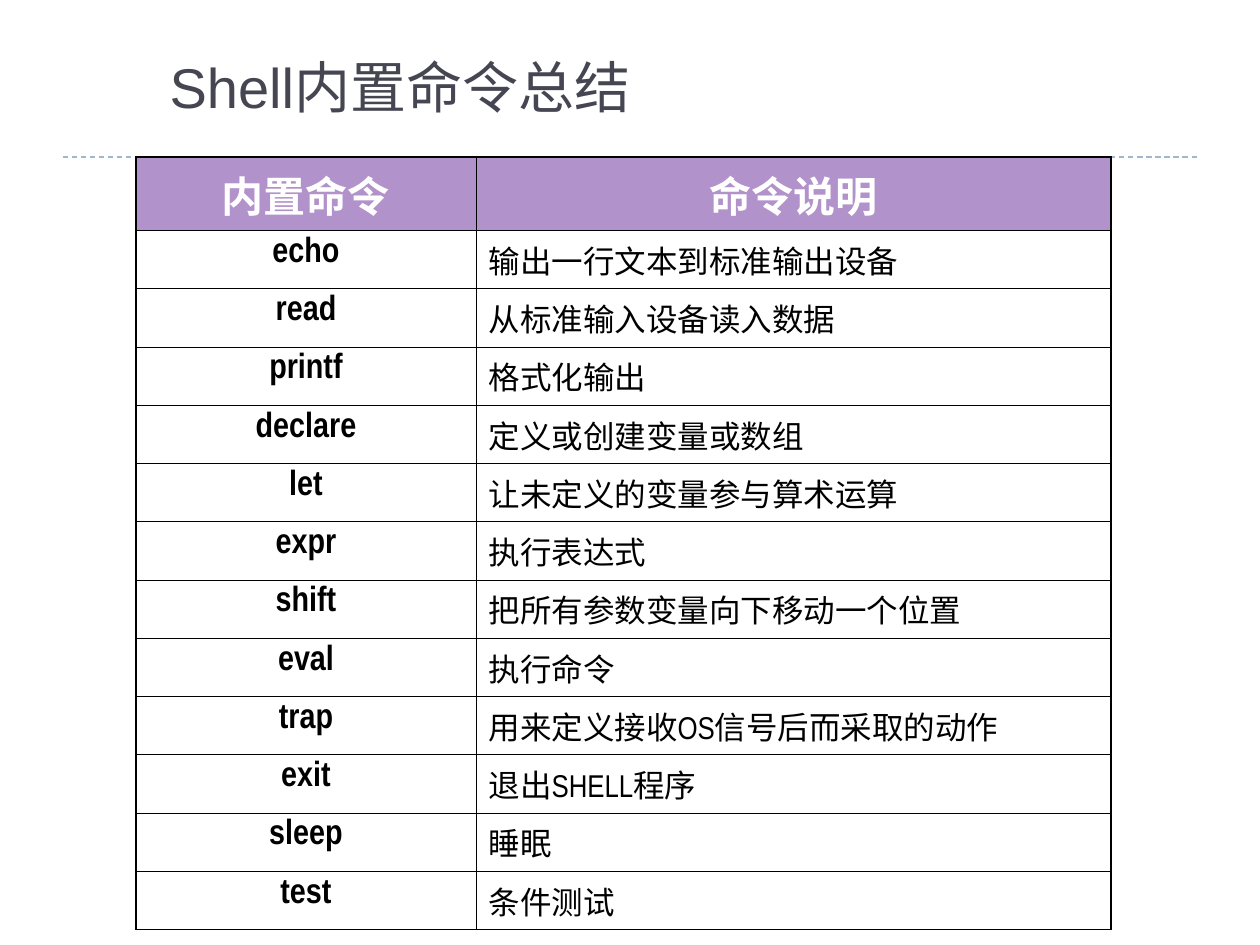
import pptx
import pptx.util
import pptx.dml.color
import pptx.enum.dml
import pptx.enum.shapes
import pptx.enum.text
import pptx.oxml
import pptx.oxml.ns
from lxml import etree

RGB = pptx.dml.color.RGBColor
Pt = pptx.util.Pt
ALIGN = pptx.enum.text.PP_ALIGN
ANCHOR = pptx.enum.text.MSO_ANCHOR
qn = pptx.oxml.ns.qn

BLACK = RGB(0x00, 0x00, 0x00)
WHITE = RGB(0xFF, 0xFF, 0xFF)
SLATE = RGB(0x46, 0x46, 0x53)
PURPLE = RGB(0xB2, 0x92, 0xCA)
BLUE = RGB(0x9F, 0xB8, 0xCD)

THIN, THICK = 0.45, 1.08


def px(n):
    return pptx.util.Emu(round(n * 914400 / 126))


def edge(cell, side, width):
    line = etree.SubElement(cell._tc.get_or_add_tcPr(), qn("a:ln" + side), w=str(Pt(width)))
    fill = etree.SubElement(line, qn("a:solidFill"))
    etree.SubElement(fill, qn("a:srgbClr"), val=str(BLACK))


deck = pptx.Presentation()
deck.slide_width, deck.slide_height = px(1260), px(945)
slide = deck.slides.add_slide(deck.slide_layouts[5])

# Title
title = slide.shapes.title
title.left, title.top, title.width, title.height = px(157), px(8), px(1081), px(118)
frame = title.text_frame
frame.word_wrap = True
frame.vertical_anchor = ANCHOR.BOTTOM
para = frame.paragraphs[0]
para.alignment = ALIGN.LEFT
run = para.add_run()
run.text = "Shell内置命令总结"
run.font.name = "Arial"
run.font.size = Pt(32)
run.font.color.rgb = SLATE

# Dashed rule under the title
rule = slide.shapes.add_connector(
    pptx.enum.shapes.MSO_CONNECTOR.STRAIGHT, px(63), px(157), px(1197), px(157))
rule.line.color.rgb = BLUE
rule.line.width = Pt(0.75)
rule.line.dash_style = pptx.enum.dml.MSO_LINE.DASH
etree.SubElement(rule._element.spPr, qn("a:effectLst"))

# Table of commands
rows = [
    ("内置命令", "命令说明"),
    ("echo", "输出一行文本到标准输出设备"),
    ("read", "从标准输入设备读入数据"),
    ("printf", "格式化输出"),
    ("declare", "定义或创建变量或数组"),
    ("let", "让未定义的变量参与算术运算"),
    ("expr", "执行表达式"),
    ("shift", "把所有参数变量向下移动一个位置"),
    ("eval", "执行命令"),
    ("trap", "用来定义接收OS信号后而采取的动作"),
    ("exit", "退出SHELL程序"),
    ("sleep", "睡眠"),
    ("test", "条件测试"),
]
widths = [340, 635]
head, body = 63, 55
last = len(rows) - 1
table = slide.shapes.add_table(
    len(rows), 2, px(136), px(157), px(sum(widths)), px(head + body * last)).table
table.horz_banding = False
table.first_row = False
for c, width in enumerate(widths):
    table.columns[c].width = px(width)

for r, texts in enumerate(rows):
    table.rows[r].height = px(body if r else head)
    for c, text in enumerate(texts):
        cell = table.cell(r, c)

        # Thick outline, thin inner grid
        edge(cell, "L", THIN if c else THICK)
        edge(cell, "R", THICK if c else THIN)
        edge(cell, "T", THIN if r else THICK)
        edge(cell, "B", THICK if r == last else THIN)
        if r == 0:
            cell.fill.solid()
            cell.fill.fore_color.rgb = PURPLE
        else:
            cell.fill.background()

        # Header and command names are bold and centred
        key = r == 0 or c == 0
        para = cell.text_frame.paragraphs[0]
        para.alignment = ALIGN.CENTER if key else ALIGN.LEFT
        run = para.add_run()
        run.text = text
        run.font.name = "Arial Narrow"
        run.font.size = Pt(24 if r == 0 else 18 if c else 20)
        run.font.bold = key
        run.font.color.rgb = BLACK if r else WHITE

deck.save("out.pptx")
